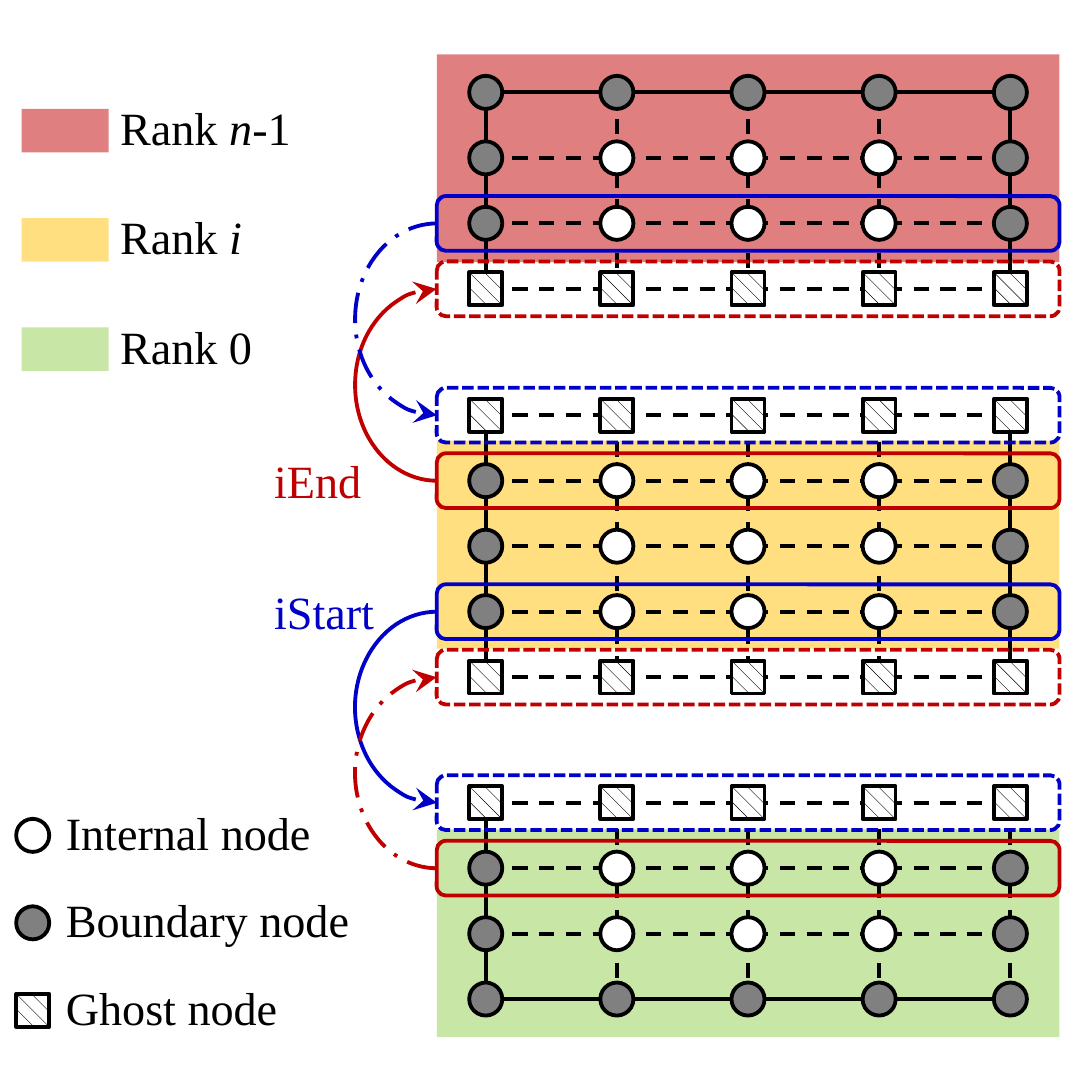
from dataclasses import dataclass

from lxml import etree
from pptx import Presentation
from pptx import util as u
from pptx.dml import color
from pptx.enum import dml, shapes, text
from pptx.oxml import ns


@dataclass(frozen=True)
class Theme:
    black: str = "000000"
    white: str = "FFFFFF"
    gray: str = "808080"
    red: str = "C00000"
    blue: str = "0000C8"
    yellow: str = "FFC000"
    green: str = "92D050"
    font: str = "Times New Roman"
    text_size: float = 12
    line_width: float = 1
    band_alpha: int = 50000
    node_size: float = 8.6
    box_height: float = 14.2


def rgb(value):
    return color.RGBColor.from_string(value)


class Diagram:
    def __init__(self, slide, theme):
        self.slide = slide
        self.theme = theme

    def style_line(self, line, value, dash=None):
        line.color.rgb = rgb(value)
        line.width = u.Pt(self.theme.line_width)
        if dash is not None:
            line.dash_style = dash

    def shape(self, kind, left, top, width, height):
        shape = self.slide.shapes.add_shape(
            kind, u.Pt(left), u.Pt(top), u.Pt(width), u.Pt(height))
        shape.shadow.inherit = False
        return shape

    def band(self, left, top, width, height, value):
        shape = self.shape(shapes.MSO_SHAPE.RECTANGLE, left, top, width, height)
        shape.fill.solid()
        shape.fill.fore_color.rgb = rgb(value)
        fill_color = shape.element.spPr.find(".//" + ns.qn("a:srgbClr"))
        etree.SubElement(fill_color, ns.qn("a:alpha"), val=str(self.theme.band_alpha))
        shape.line.fill.background()

    def edge(self, x1, y1, x2, y2, solid):
        connector = self.slide.shapes.add_connector(
            shapes.MSO_CONNECTOR.STRAIGHT, u.Pt(x1), u.Pt(y1), u.Pt(x2), u.Pt(y2))
        self.style_line(connector.line, self.theme.black,
                        None if solid else dml.MSO_LINE.DASH)
        etree.SubElement(connector.element.spPr, ns.qn("a:effectLst"))

    def node(self, x, y, kind):
        size = self.theme.node_size
        preset = shapes.MSO_SHAPE.RECTANGLE if kind == "ghost" else shapes.MSO_SHAPE.OVAL
        shape = self.shape(preset, x - size / 2, y - size / 2, size, size)
        if kind == "ghost":
            shape.fill.patterned()
            shape.fill.pattern = dml.MSO_PATTERN.WIDE_DOWNWARD_DIAGONAL
            shape.fill.fore_color.rgb = rgb(self.theme.black)
            shape.fill.back_color.rgb = rgb(self.theme.white)
        else:
            shape.fill.solid()
            shape.fill.fore_color.rgb = rgb(
                self.theme.gray if kind == "boundary" else self.theme.white)
        self.style_line(shape.line, self.theme.black)

    def row_box(self, left, y, width, value, dash=None):
        height = self.theme.box_height
        shape = self.shape(shapes.MSO_SHAPE.ROUNDED_RECTANGLE,
                           left, y - height / 2, width, height)
        shape.fill.background()
        self.style_line(shape.line, value, dash)

    def exchange_arc(self, x, source, target, value, dash):
        width = 42.5
        shape = self.shape(shapes.MSO_SHAPE.ARC, x - width / 2, min(source, target),
                           width, abs(target - source))
        shape.adjustments[0] = 162
        shape.adjustments[1] = 53.87
        shape.rotation = 180
        shape.fill.background()
        self.style_line(shape.line, value, dash)
        end = "a:tailEnd" if target < source else "a:headEnd"
        etree.SubElement(shape.element.spPr.find(ns.qn("a:ln")), ns.qn(end), type="stealth")

    def label(self, left, top, width, runs, value, inset=3):
        box = self.slide.shapes.add_textbox(
            u.Pt(left), u.Pt(top), u.Pt(width), u.Pt(21.6))
        frame = box.text_frame
        frame.word_wrap = True
        frame.auto_size = text.MSO_AUTO_SIZE.SHAPE_TO_FIT_TEXT
        frame.margin_left = u.Pt(inset)
        paragraph = frame.paragraphs[0]
        for content, italic in runs:
            run = paragraph.add_run()
            run.text = content
            run.font.name = self.theme.font
            run.font.size = u.Pt(self.theme.text_size)
            run.font.italic = italic
            run.font.color.rgb = rgb(value)


theme = Theme()
presentation = Presentation()
presentation.slide_width = presentation.slide_height = u.Pt(283.5)
slide = presentation.slides.add_slide(presentation.slide_layouts[6])
diagram = Diagram(slide, theme)

BAND_LEFT, BAND_WIDTH, BAND_HEIGHT = 113.4, 161.7, 54
ROW_STEP = 17
columns = [126.1 + 34.05 * index for index in range(5)]
left, right = columns[0], columns[-1]

ranks = [
    (theme.red, 14.1, 24, ["boundary", "internal", "internal", "ghost"], {left, right}),
    (theme.yellow, 114.4, 107.8,
     ["ghost", "internal", "internal", "internal", "ghost"], {left, right}),
    (theme.green, 215.3, 208.4, ["ghost", "internal", "internal", "boundary"], {left}),
]

grids = []
for value, band_top, first_row, kinds, solid_columns in ranks:
    diagram.band(BAND_LEFT, band_top, BAND_WIDTH, BAND_HEIGHT, value)
    rows = [first_row + ROW_STEP * index for index in range(len(kinds))]
    grids.append(rows)
    for x in columns:
        diagram.edge(x, rows[0], x, rows[-1], x in solid_columns)
    for y, kind in zip(rows, kinds):
        diagram.edge(left, y, right, y, kind == "boundary")
    for y, kind in zip(rows, kinds):
        for x in columns:
            outer = kind == "internal" and x in (left, right)
            diagram.node(x, y, "boundary" if outer else kind)

last_rank, middle_rank, first_rank = grids
exchanges = [
    (middle_rank[1], last_rank[3], theme.red, None),
    (middle_rank[3], first_rank[0], theme.blue, None),
    (last_rank[2], middle_rank[0], theme.blue, dml.MSO_LINE.LONG_DASH_DOT),
    (first_rank[1], middle_rank[4], theme.red, dml.MSO_LINE.LONG_DASH_DOT),
]
for source, target, value, dash in exchanges:
    diagram.row_box(BAND_LEFT, source, BAND_WIDTH, value)
    diagram.row_box(BAND_LEFT, target, BAND_WIDTH, value, dml.MSO_LINE.SQUARE_DOT)
    diagram.exchange_arc(BAND_LEFT, source, target, value, dash)

for name, top, value in [("iEnd", 113.8, theme.red), ("iStart", 147.8, theme.blue)]:
    diagram.label(64.1, top, 42.5, [(name, False)], value, inset=7.2)

rank_names = [
    [("Rank ", False), ("n", True), ("-1", False)],
    [("Rank ", False), ("i", True)],
    [("Rank 0", False)],
]
for index, (rank, runs) in enumerate(zip(ranks, rank_names)):
    top = 28.3 + 28.35 * index
    diagram.band(5.6, top, 22.6, 11.3, rank[0])
    diagram.label(28.2, top - 6, 91.4, runs, theme.black)

for index, kind in enumerate(["internal", "boundary", "ghost"]):
    y = 216.9 + 22.7 * index
    diagram.node(8.5, y, kind)
    diagram.label(14.1, y - 11.6, 104.4, [(f"{kind.capitalize()} node", False)], theme.black)

presentation.save("out.pptx")
